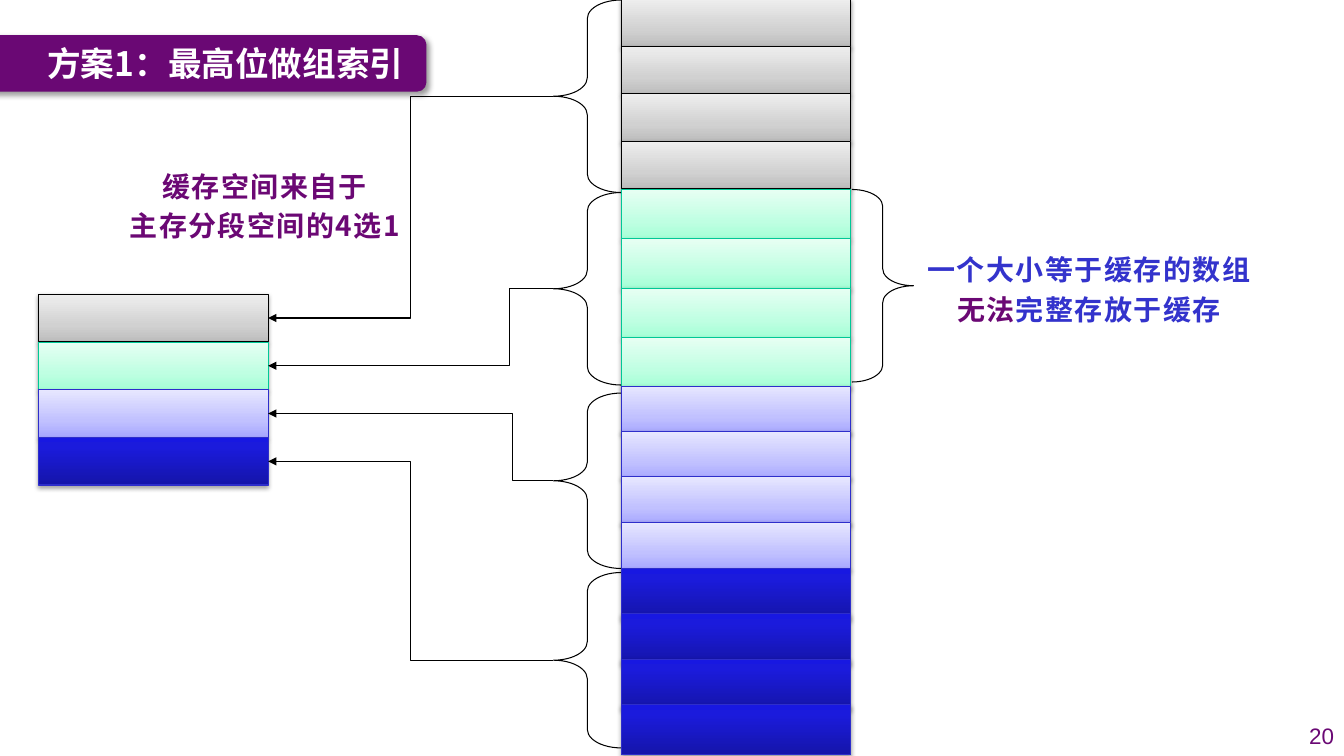
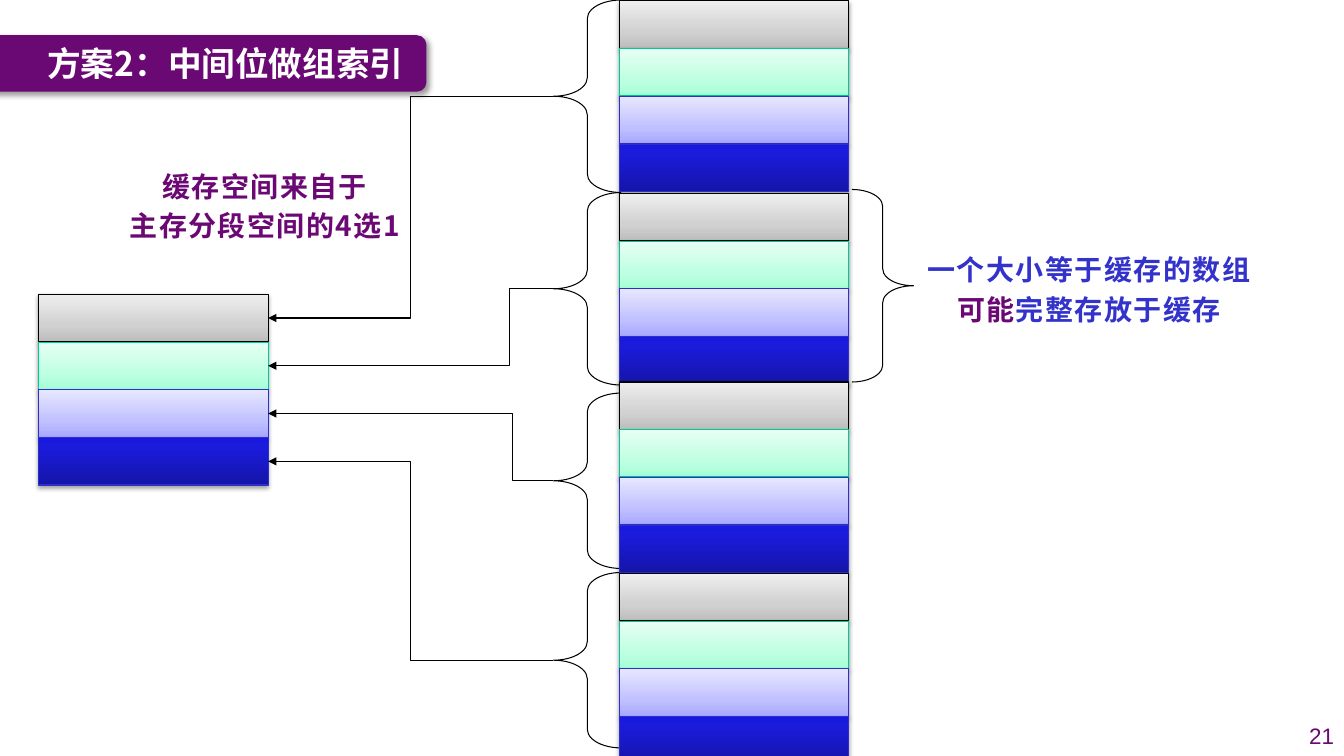
from copy import deepcopy

from lxml import etree
from pptx import Presentation
from pptx.dml.color import RGBColor
from pptx.enum.shapes import MSO_CONNECTOR, MSO_SHAPE
from pptx.enum.text import MSO_ANCHOR, MSO_AUTO_SIZE, PP_ALIGN
from pptx.oxml.ns import qn
from pptx.util import Inches, Pt

RECTANGLE, ROUNDED = MSO_SHAPE.RECTANGLE, MSO_SHAPE.ROUNDED_RECTANGLE
LEFT_BRACE, ELBOW = MSO_SHAPE.LEFT_BRACE, MSO_CONNECTOR.ELBOW
LEFT, CENTER, RIGHT = PP_ALIGN.LEFT, PP_ALIGN.CENTER, PP_ALIGN.RIGHT
TOP, MIDDLE = MSO_ANCHOR.TOP, MSO_ANCHOR.MIDDLE
NO_AUTOFIT = MSO_AUTO_SIZE.NONE

CJK_FONT, NUMBER_FONT = "Noto Sans CJK SC", "Arial"
BLACK, WHITE, PURPLE, DEEP_PURPLE, BLUE = "000000", "FFFFFF", "6A0874", "6B0874", "3333CC"
TITLE_ONLY = 5

# Gradient stops (percent, colour) from bottom to top, outline, shadow.
# A shadow is opacity in percent, blur and distance in points, direction in degrees.
SOFT_SHADOW, STRONG_SHADOW, BAND_SHADOW = (38, 3.1, 1.6, 90), (35, 3.1, 1.8, 90), (40, 4, 3, 45)
BLOCK_STYLES = {
    "gray": ([(0, "BDBDBD"), (35, "D1D1D1"), (100, "EEEEEE")], BLACK, SOFT_SHADOW),
    "green": ([(0, "A5FFD6"), (35, "BFFFE2"), (100, "E7FFF3")], "00C896", SOFT_SHADOW),
    "lavender": ([(0, "A7A7FF"), (35, "C1C1FF"), (100, "E7E7FF")], "2E2ECB", SOFT_SHADOW),
    "navy": ([(0, "1515A9"), (80, "1B1BDC"), (100, "1818E1")], "2E2ECB", STRONG_SHADOW),
}
CACHE_SETS = list(BLOCK_STYLES)
BLOCK_WIDTH, BLOCK_HEIGHT = 2.28, 0.47
CACHE_LEFT, CACHE_TOP, CACHE_STEP = 0.38, 2.92, 0.474

BRACE_LEFT, BRACE_WIDTH = 5.49, 0.67
# Top and height of each brace, and how far along its arrow bends.
BRACES = [(0, 1.91, 0.5), (1.91, 1.91, 0.153), (3.9, 1.74, 0.143), (5.68, 1.74, 0.5)]
ARRAY_BRACE = (8.45, 1.88, 0.61, 1.91)

CACHE_NOTE = [[("缓存空间来自于", DEEP_PURPLE)], [("主存分段空间的4选1", DEEP_PURPLE)]]

# Each memory segment: top, row step, block height, set of every row.
SLIDES = [
    {
        "title": "方案1：最高位做组索引",
        "number": 20,
        "verdict": "无法",
        "memory_left": 6.16,
        "segments": [
            (-0.01, 0.47, 0.47, ["gray"] * 4),
            (1.88, 0.49, 0.49, ["green"] * 4),
            (3.83, 0.45, 0.47, ["lavender"] * 4),
            (5.64, 0.45, 0.5, ["navy"] * 4),
        ],
    },
    {
        "title": "方案2：中间位做组索引",
        "number": 21,
        "verdict": "可能",
        "memory_left": 6.14,
        "segments": [(top, 0.473, 0.47, CACHE_SETS) for top in (0.01, 1.92, 3.79, 5.69)],
    },
]


def rgb(color):
    return RGBColor.from_string(color)


def box(left, top, width, height):
    return [Inches(value) for value in (left, top, width, height)]


def set_outline(shape, color):
    shape.line.color.rgb = rgb(color)
    shape.line.width = Pt(0.75)


def add_shadow(shape, opacity, blur, distance, direction):
    shape.shadow.inherit = False
    effects = shape.element.spPr.find(qn("a:effectLst"))
    shadow = etree.SubElement(
        effects, qn("a:outerShdw"), blurRad=str(Pt(blur)), dist=str(Pt(distance)),
        dir=str(direction * 60000), rotWithShape="0")
    color = etree.SubElement(shadow, qn("a:srgbClr"), val=BLACK)
    etree.SubElement(color, qn("a:alpha"), val=str(opacity * 1000))


def write_text(shape, paragraphs, size, font=CJK_FONT, bold=True, align=LEFT,
               anchor=TOP, spacing=0, gap=0):
    """Fill a shape with paragraphs, each a list of (text, colour) runs."""
    frame = shape.text_frame
    frame.word_wrap = True
    frame.auto_size = NO_AUTOFIT
    frame.vertical_anchor = anchor
    for index, runs in enumerate(paragraphs):
        paragraph = frame.add_paragraph() if index else frame.paragraphs[0]
        paragraph.alignment = align
        if index:
            paragraph.space_before = Pt(gap)
        for text, color in runs:
            run = paragraph.add_run()
            run.text = text
            run.font.size, run.font.bold, run.font.name = Pt(size), bold, font
            run.font.color.rgb = rgb(color)
            properties = run.font._element
            if spacing:
                properties.set("spc", str(spacing * 100))
            etree.SubElement(properties, qn("a:ea"), typeface=font)


def add_text(slide, place, paragraphs, size, **text_format):
    write_text(slide.shapes.add_textbox(*box(*place)), paragraphs, size, **text_format)


def add_block(slide, left, top, height, style):
    stops, outline, shadow = BLOCK_STYLES[style]
    block = slide.shapes.add_shape(RECTANGLE, *box(left, top, BLOCK_WIDTH, height))
    block.fill.gradient()
    block.fill.gradient_angle = 90
    stop_list = block.element.spPr.find(".//" + qn("a:gsLst"))
    stop_list.append(deepcopy(stop_list[0]))
    for stop, (percent, color) in zip(block.fill.gradient_stops, stops):
        stop.position = percent / 100
        stop.color.rgb = rgb(color)
    set_outline(block, outline)
    add_shadow(block, *shadow)
    return block


def add_brace(slide, left, top, width, height, flipped=False):
    brace = slide.shapes.add_shape(LEFT_BRACE, *box(left, top, width, height))
    brace.adjustments[0] = 0.275
    brace.fill.background()
    set_outline(brace, BLACK)
    brace.shadow.inherit = False
    if flipped:
        brace.element.spPr.find(qn("a:xfrm")).set("flipH", "1")
    return brace


def add_arrow(slide, brace, block, bend):
    """Join the brace's point to the block's right side with a bent arrow."""
    arrow = slide.shapes.add_connector(ELBOW, 0, 0, 0, 0)
    arrow.begin_connect(brace, 1)
    arrow.end_connect(block, 3)
    set_outline(arrow, BLACK)
    properties = arrow.element.spPr
    guides = properties.find(".//" + qn("a:avLst"))
    etree.SubElement(guides, qn("a:gd"), name="adj1", fmla=f"val {round(bend * 100000)}")
    etree.SubElement(arrow.line._get_or_add_ln(), qn("a:tailEnd"), type="triangle")
    etree.SubElement(properties, qn("a:effectLst"))


def add_band_to_layout(layout, slide):
    """Draw the title band on a slide, then move it behind the layout's placeholders."""
    band = slide.shapes.add_shape(ROUNDED, *box(-0.2, 0.35, 4.43, 0.56))
    band.fill.solid()
    band.fill.fore_color.rgb = rgb(PURPLE)
    band.line.fill.background()
    add_shadow(band, *BAND_SHADOW)
    layout.shapes.element.insert(2, band.element)


def fill_slide(slide, content):
    title = slide.shapes.title
    title.left, title.top, title.width, title.height = box(0.37, 0.35, 3.98, 0.55)
    write_text(title, [[(content["title"], WHITE)]], 24, anchor=MIDDLE)
    add_text(slide, (12.78, 7.1, 0.55, 0.4), [[(str(content["number"]), PURPLE)]], 16,
             font=NUMBER_FONT, bold=False, align=RIGHT, anchor=MIDDLE)

    for row, (style, (top, height, bend)) in enumerate(zip(CACHE_SETS, BRACES)):
        block = add_block(slide, CACHE_LEFT, CACHE_TOP + row * CACHE_STEP, BLOCK_HEIGHT, style)
        brace = add_brace(slide, BRACE_LEFT, top, BRACE_WIDTH, height)
        add_arrow(slide, brace, block, bend)

    for top, step, height, styles in content["segments"]:
        for row, style in enumerate(styles):
            add_block(slide, content["memory_left"], top + row * step, height, style)
    add_brace(slide, *ARRAY_BRACE, flipped=True)

    array_note = [[("一个大小等于缓存的数组", BLUE)],
                  [(content["verdict"], DEEP_PURPLE), ("完整存放于缓存", BLUE)]]
    for place, note in (((1.13, 1.63, 2.99, 0.84), CACHE_NOTE),
                        ((9.05, 2.46, 3.5, 0.84), array_note)):
        add_text(slide, place, note, 20, align=CENTER, spacing=1, gap=4)


def main():
    presentation = Presentation()
    presentation.slide_width, presentation.slide_height = Inches(13.33), Inches(7.5)
    layout = presentation.slide_layouts[TITLE_ONLY]
    slides = [presentation.slides.add_slide(layout) for _ in SLIDES]
    add_band_to_layout(layout, slides[0])
    for slide, content in zip(slides, SLIDES):
        fill_slide(slide, content)
    presentation.save("out.pptx")


if __name__ == "__main__":
    main()
